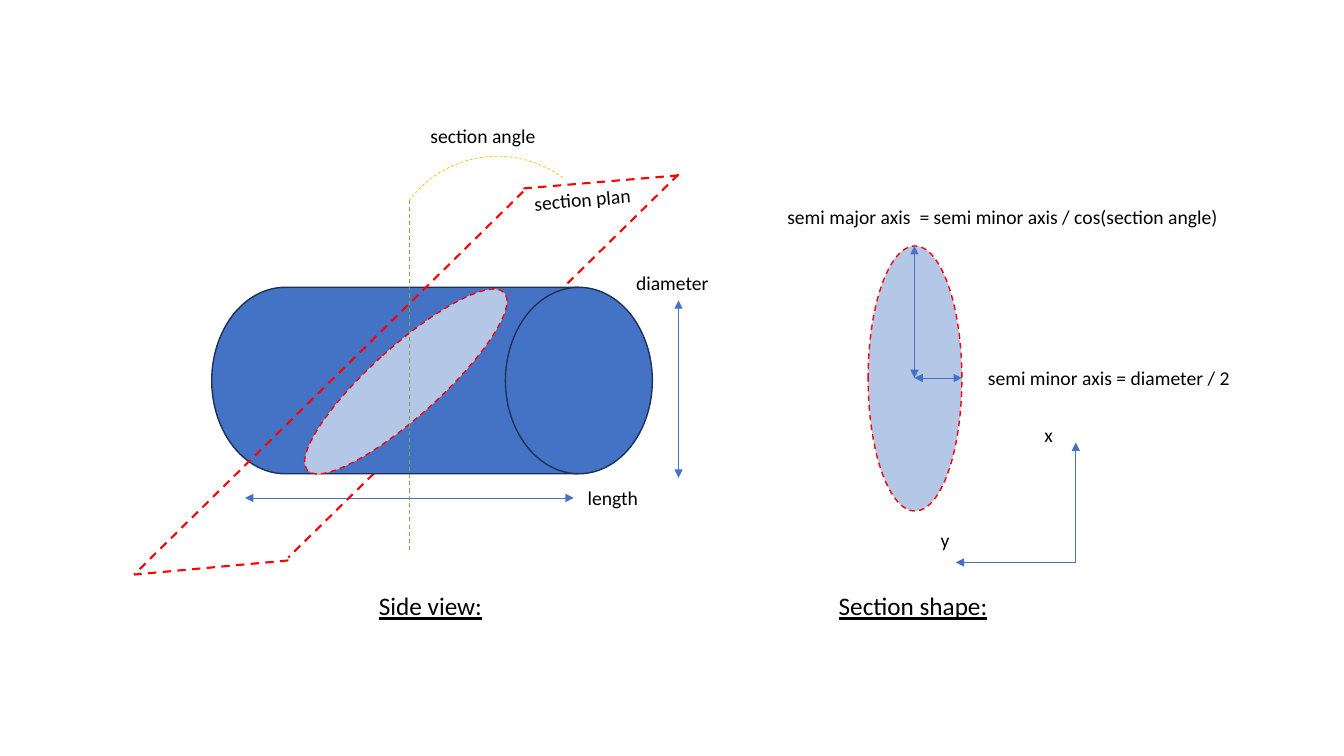
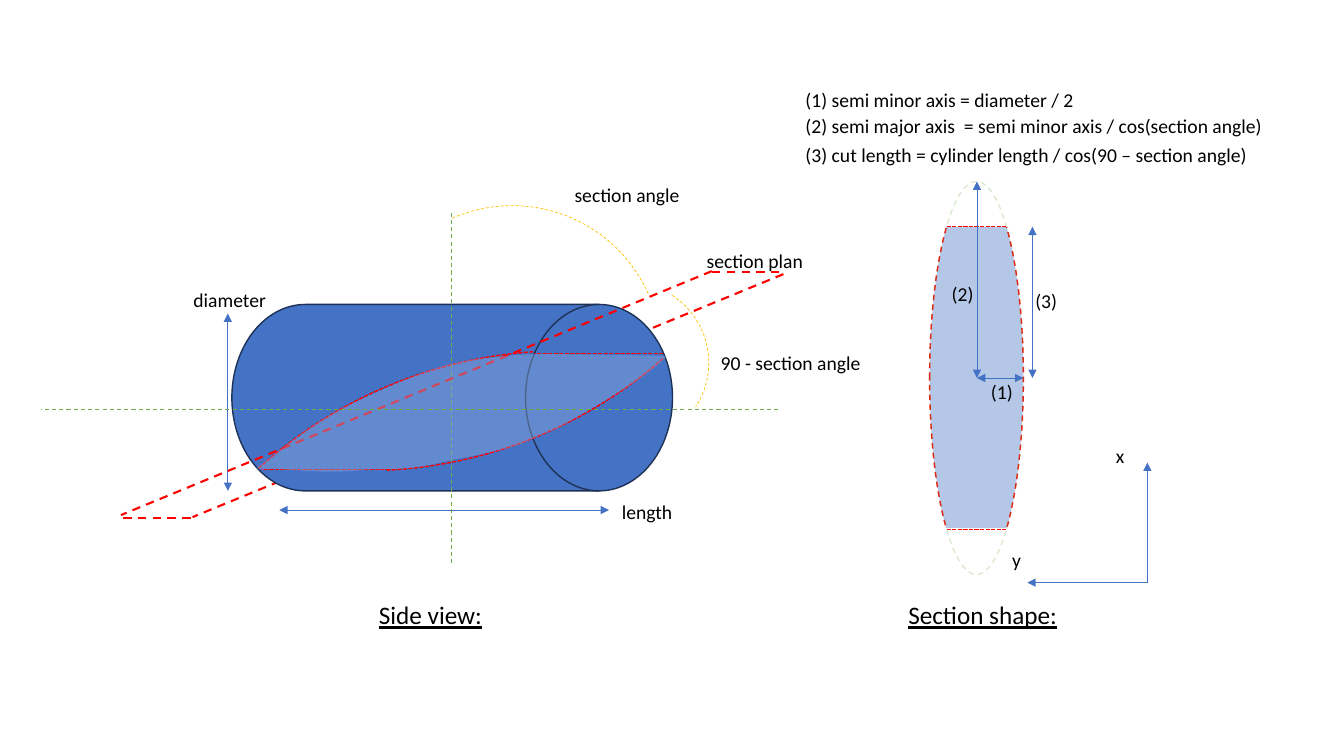
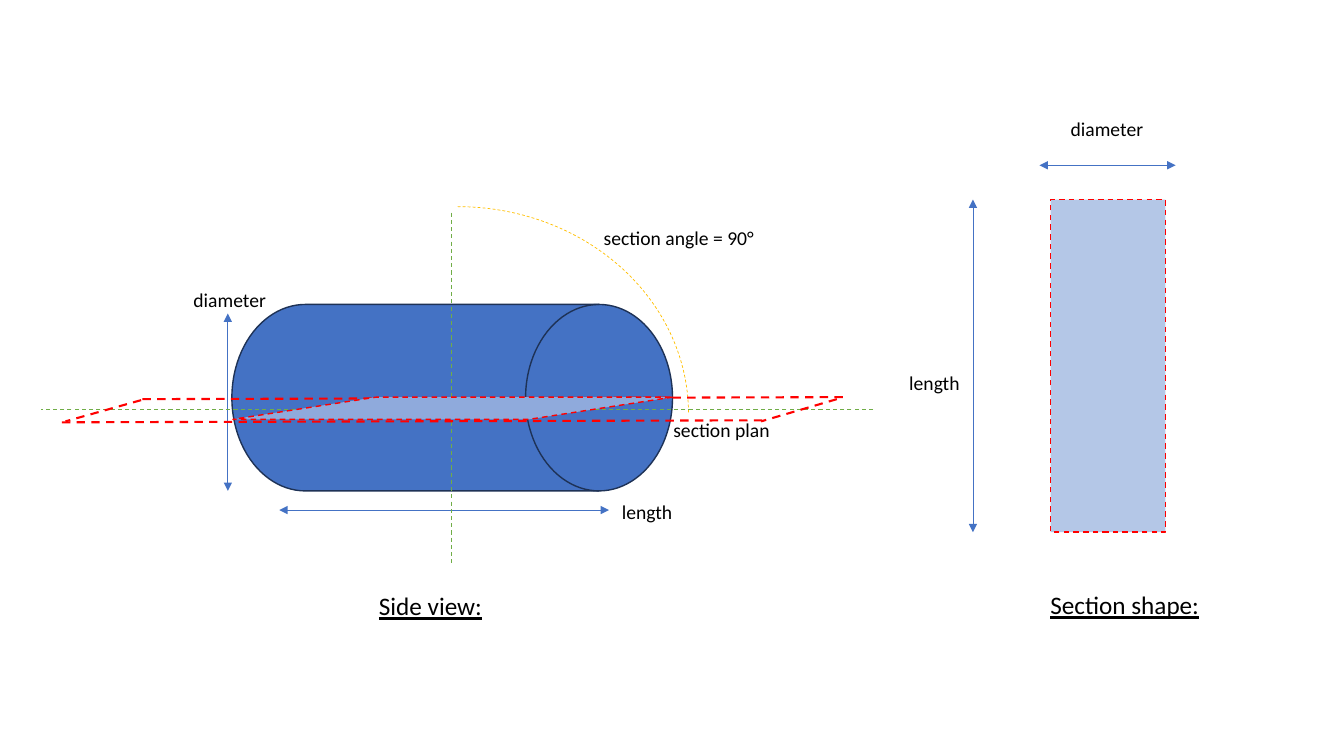
from dataclasses import dataclass

from lxml import etree
from pptx import Presentation
from pptx import util as u
from pptx.dml.color import RGBColor
from pptx.enum import dml, shapes, text
from pptx.oxml import ns


@dataclass(frozen=True)
class Stroke:
    color: str
    width: float
    dash: object = None
    start_arrow: bool = False
    end_arrow: bool = False


@dataclass(frozen=True)
class Theme:
    font: str = "Calibri"
    ink: str = "000000"
    paper: str = "FFFFFF"
    cylinder: str = "4472C4"
    section: str = "B4C7E7"
    cut: str = "8FAADC"
    label_size: int = 14
    caption_size: int = 18
    label_rows: float = 0.34
    caption_rows: float = 0.4
    outline: Stroke = Stroke("1E3256", 1)
    mask: Stroke = Stroke("FFFFFF", 1)
    plane: Stroke = Stroke("FF0000", 1.5, dml.MSO_LINE.DASH)
    section_edge: Stroke = Stroke("FF0000", 1, dml.MSO_LINE.DASH)
    cut_edge: Stroke = Stroke("FF0000", 1, dml.MSO_LINE.SQUARE_DOT)
    center: Stroke = Stroke("70AD47", 0.75, dml.MSO_LINE.DASH)
    ghost: Stroke = Stroke("70AD47", 1, dml.MSO_LINE.DASH)
    angle: Stroke = Stroke("FFC000", 0.5, dml.MSO_LINE.DASH)
    dimension: Stroke = Stroke("4472C4", 0.5, None, True, True)
    axis: Stroke = Stroke("4472C4", 0.5, None, False, True)


THEME = Theme()
KIND = shapes.MSO_SHAPE
SLIDE_WIDTH, SLIDE_HEIGHT = 12192000, 6858000
COLUMN, ROW = SLIDE_WIDTH / 13.33, SLIDE_HEIGHT / 7.5


def across(columns):
    return u.Emu(round(columns * COLUMN))


def down(rows):
    return u.Emu(round(rows * ROW))


def grid_box(left, top, width, height):
    return across(left), down(top), across(width), down(height)


def apply_stroke(line, stroke):
    line.color.rgb = RGBColor.from_string(stroke.color)
    line.width = u.Pt(stroke.width)
    if stroke.dash is not None:
        line.dash_style = stroke.dash


def finish(outline, fill, stroke):
    outline.shadow.inherit = False
    if fill:
        outline.fill.solid()
        outline.fill.fore_color.rgb = RGBColor.from_string(fill)
    else:
        outline.fill.background()
    if stroke:
        apply_stroke(outline.line, stroke)
    else:
        outline.line.fill.background()


def fade(outline, percent):
    for color in outline.element.spPr.iter(ns.qn("a:srgbClr")):
        etree.SubElement(color, ns.qn("a:alpha"), val=str(percent * 1000))


def draw(canvas, kind, box, fill=None, stroke=None, turn=0, adjust=()):
    figure = canvas.add_shape(kind, *grid_box(*box))
    finish(figure, fill, stroke)
    figure.rotation = turn
    for index, value in enumerate(adjust):
        figure.adjustments[index] = value
    return figure


def connect(canvas, start, end, stroke):
    link = canvas.add_connector(
        shapes.MSO_CONNECTOR.STRAIGHT,
        across(start[0]), down(start[1]), across(end[0]), down(end[1]))
    apply_stroke(link.line, stroke)
    properties = link.element.spPr
    ends = (("a:headEnd", stroke.start_arrow), ("a:tailEnd", stroke.end_arrow))
    for tag, shown in ends:
        if shown:
            etree.SubElement(properties.find(ns.qn("a:ln")), ns.qn(tag), type="triangle")
    etree.SubElement(properties, ns.qn("a:effectLst"))


def write(canvas, words, left, top, width, turn=0, caption=False):
    rows = THEME.caption_rows if caption else THEME.label_rows
    note = canvas.add_textbox(*grid_box(left, top, width, rows))
    note.rotation = turn
    frame = note.text_frame
    frame.text = words
    frame.word_wrap = False
    frame.auto_size = text.MSO_AUTO_SIZE.SHAPE_TO_FIT_TEXT
    font = frame.paragraphs[0].runs[0].font
    font.name = THEME.font
    font.size = u.Pt(THEME.caption_size if caption else THEME.label_size)
    font.color.rgb = RGBColor.from_string(THEME.ink)
    if caption:
        font.underline = True


def captions(canvas, section_left, side_top, section_top):
    write(canvas, "Side view:", 3.66, side_top, 1.24, caption=True)
    write(canvas, "Section shape:", section_left, section_top, 1.7, caption=True)


def cylinder(canvas, left, top):
    draw(canvas, KIND.FLOWCHART_DIRECT_ACCESS_STORAGE, (left, top, 4.37, 1.85),
         THEME.cylinder, THEME.outline)


def center_line(canvas, column, top):
    connect(canvas, (column, top), (column, top + 3.49), THEME.center)


def cylinder_sizes(canvas):
    connect(canvas, (2.77, 5.06), (6.04, 5.06), THEME.dimension)
    connect(canvas, (2.26, 4.87), (2.26, 3.11), THEME.dimension)
    write(canvas, "length", 6.07, 4.91, 0.71)
    write(canvas, "diameter", 1.82, 2.81, 0.93)


def axes(canvas, column, row):
    reach = 1.19
    connect(canvas, (column, row), (column, row - reach), THEME.axis)
    connect(canvas, (column, row), (column - reach, row), THEME.axis)
    write(canvas, "x", column - 0.41, row - 1.43, 0.29)
    write(canvas, "y", column - 1.44, row - 0.39, 0.29)


def bezier(start, first, second, end, steps=12):
    for step in range(1, steps + 1):
        t = step / steps
        s = 1 - t
        yield tuple(s**3 * a + 3 * s * s * t * b + 3 * s * t * t * c + t**3 * d
                    for a, b, c, d in zip(start, first, second, end))


def cut_surface(canvas):
    start, corner = (4.84, 3.55), (6.62, 3.53)
    points = list(bezier(start, (5.08, 3.52), (5.18, 3.52), (5.35, 3.51)))
    points.append(corner)
    curves = (
        ((6.39, 3.76), (6.11, 3.91), (5.53, 4.25)),
        ((5.12, 4.4), (5.31, 4.41), (4.4, 4.58)),
        ((4.07, 4.67), (3.87, 4.65), (3.61, 4.66)),
        ((3.25, 4.71), (2.93, 4.65), (2.54, 4.65)),
        ((2.85, 4.41), (3.15, 4.16), (3.5, 4)),
        ((4.18, 3.68), (4.47, 3.58), start),
    )
    for curve in curves:
        points.extend(bezier(points[-1], *curve))
    builder = canvas.build_freeform(across(start[0]), down(start[1]))
    builder.add_line_segments([(across(c), down(r)) for c, r in points], close=True)
    surface = builder.convert_to_shape()
    finish(surface, THEME.cut, None)
    fade(surface, 42)


def truncated_ellipse(canvas):
    ellipse = (9.22, 1.8, 0.93, 3.9)
    cut = canvas.add_group_shape().shapes
    draw(cut, KIND.OVAL, ellipse, THEME.section, THEME.section_edge)
    for top in (1.49, 5.25):
        draw(cut, KIND.RECTANGLE, (8.96, top, 1.46, 0.76), THEME.paper, THEME.mask)
    for row in (2.25, 5.25):
        connect(cut, (9.39, row), (9.99, row), THEME.cut_edge)
    fade(draw(canvas, KIND.OVAL, ellipse, stroke=THEME.ghost), 26)


def full_ellipse_slide(canvas):
    connect(canvas, (6.73, 1.74), (5.19, 1.87), THEME.plane)
    connect(canvas, (2.43, 4.94), (5.69, 4.94), THEME.dimension)
    connect(canvas, (6.73, 4.74), (6.73, 2.98), THEME.dimension)
    captions(canvas, 8.22, 5.81, 5.81)
    write(canvas, "length", 5.73, 4.77, 0.71)
    write(canvas, "diameter", 6.21, 2.64, 0.93)
    write(canvas, "section plan", 5.2, 1.81, 1.17, turn=355.2)
    connect(canvas, (6.73, 1.73), (2.86, 5.53), THEME.plane)
    cylinder(canvas, 2.1, 2.85)
    connect(canvas, (5.19, 1.9), (1.33, 5.7), THEME.plane)
    connect(canvas, (2.86, 5.56), (1.33, 5.7), THEME.plane)
    draw(canvas, KIND.OVAL, (3.68, 2.47, 0.69, 2.63), THEME.section,
         THEME.section_edge, turn=48)
    center_line(canvas, 4.06, 1.98)
    write(canvas, "section angle", 4.17, 1.18, 1.26)
    draw(canvas, KIND.ARC, (3.84, 1.55, 2.19, 2.19), stroke=THEME.angle, turn=306.6)

    draw(canvas, KIND.OVAL, (8.61, 2.44, 0.93, 2.63), THEME.section, THEME.section_edge)
    for tip in ((9.54, 3.75), (9.07, 2.44)):
        connect(canvas, (9.07, 3.75), tip, THEME.dimension)
    write(canvas, "semi minor axis = diameter / 2", 9.7, 3.58, 2.67)
    write(canvas, "semi major axis  = semi minor axis / cos(section angle)", 7.71, 1.98, 4.6)
    axes(canvas, 10.67, 5.58)


def cut_ellipse_slide(canvas):
    cylinder_sizes(canvas)
    captions(canvas, 8.91, 5.9, 5.9)
    connect(canvas, (1.89, 5.14), (1.2, 5.14), THEME.plane)
    write(canvas, "section angle", 5.6, 1.77, 1.26)
    draw(canvas, KIND.ARC, (3.6, 2.04, 2.96, 2.96), stroke=THEME.angle, turn=336.4)
    write(canvas, "section plan", 6.91, 2.42, 1.17)
    connect(canvas, (7.77, 2.72), (1.91, 5.13), THEME.plane)
    connect(canvas, (7.73, 2.7), (7.04, 2.7), THEME.plane)
    cylinder(canvas, 2.3, 3.02)
    center_line(canvas, 4.48, 2.11)
    connect(canvas, (7.06, 2.69), (1.2, 5.11), THEME.plane)
    for left, top, turn in ((1.09, 3.48, 317.8), (-0.88, -4.32, 138.8)):
        draw(canvas, KIND.ARC, (left, top, 8.99, 8.99), stroke=THEME.cut_edge,
             turn=turn, adjust=(162, 185.03))
    for right, row in ((6.58, 3.51), (3.87, 4.66)):
        connect(canvas, (right, row), (right - 1.27, row), THEME.cut_edge)
    cut_surface(canvas)
    connect(canvas, (7.72, 4.06), (0.41, 4.06), THEME.center)
    draw(canvas, KIND.ARC, (5.43, 2.8, 1.6, 1.6), stroke=THEME.angle, turn=33.2)
    write(canvas, "90 - section angle", 7.05, 3.43, 1.6)

    truncated_ellipse(canvas)
    for start, end in (((10.24, 2.25), (10.24, 3.75)),
                       ((9.69, 1.8), (9.69, 3.75)),
                       ((9.69, 3.75), (10.15, 3.75))):
        connect(canvas, start, end, THEME.dimension)
    formulas = (
        ("(1) semi minor axis = diameter / 2", 0.82, 2.88),
        ("(2) semi major axis  = semi minor axis / cos(section angle)", 1.08, 4.86),
        ("(3) cut length = cylinder length / cos(90 – section angle)", 1.37, 4.63),
    )
    for formula, top, width in formulas:
        write(canvas, formula, 7.89, top, width)
    axes(canvas, 11.38, 5.78)
    for mark, left, top in (("(1)", 9.73, 3.72), ("(2)", 9.34, 2.75), ("(3)", 10.17, 2.82)):
        write(canvas, mark, left, top, 0.42)


def rectangle_slide(canvas):
    cylinder_sizes(canvas)
    captions(canvas, 10.32, 5.81, 5.8)
    write(canvas, "section angle = 90°", 5.89, 2.19, 1.71)
    draw(canvas, KIND.ARC, (2.25, 2.05, 4.58, 4.11), stroke=THEME.angle)
    write(canvas, "section plan", 6.58, 4.1, 1.17)
    cylinder(canvas, 2.3, 3.02)
    center_line(canvas, 4.48, 2.11)
    connect(canvas, (7.56, 4.17), (0.6, 4.19), THEME.plane)
    connect(canvas, (8.66, 4.06), (0.41, 4.06), THEME.center)
    connect(canvas, (8.36, 3.94), (1.4, 3.96), THEME.plane)
    connect(canvas, (8.3, 3.96), (7.55, 4.18), THEME.plane)
    draw(canvas, KIND.PARALLELOGRAM, (2.31, 3.94, 4.36, 0.22), THEME.cut,
         THEME.section_edge, turn=180, adjust=(6.46,))
    connect(canvas, (1.4, 3.97), (0.65, 4.18), THEME.plane)

    draw(canvas, KIND.RECTANGLE, (10.42, 1.98, 1.14, 3.3), THEME.section, THEME.section_edge)
    connect(canvas, (9.65, 1.98), (9.65, 5.28), THEME.dimension)
    connect(canvas, (10.31, 1.64), (11.66, 1.64), THEME.dimension)
    write(canvas, "length", 8.92, 3.63, 0.71)
    write(canvas, "diameter", 10.52, 1.11, 0.93)


def main():
    deck = Presentation()
    deck.slide_width, deck.slide_height = SLIDE_WIDTH, SLIDE_HEIGHT
    blank = deck.slide_layouts[6]
    for build in (full_ellipse_slide, cut_ellipse_slide, rectangle_slide):
        build(deck.slides.add_slide(blank).shapes)
    deck.save("out.pptx")


if __name__ == "__main__":
    main()
